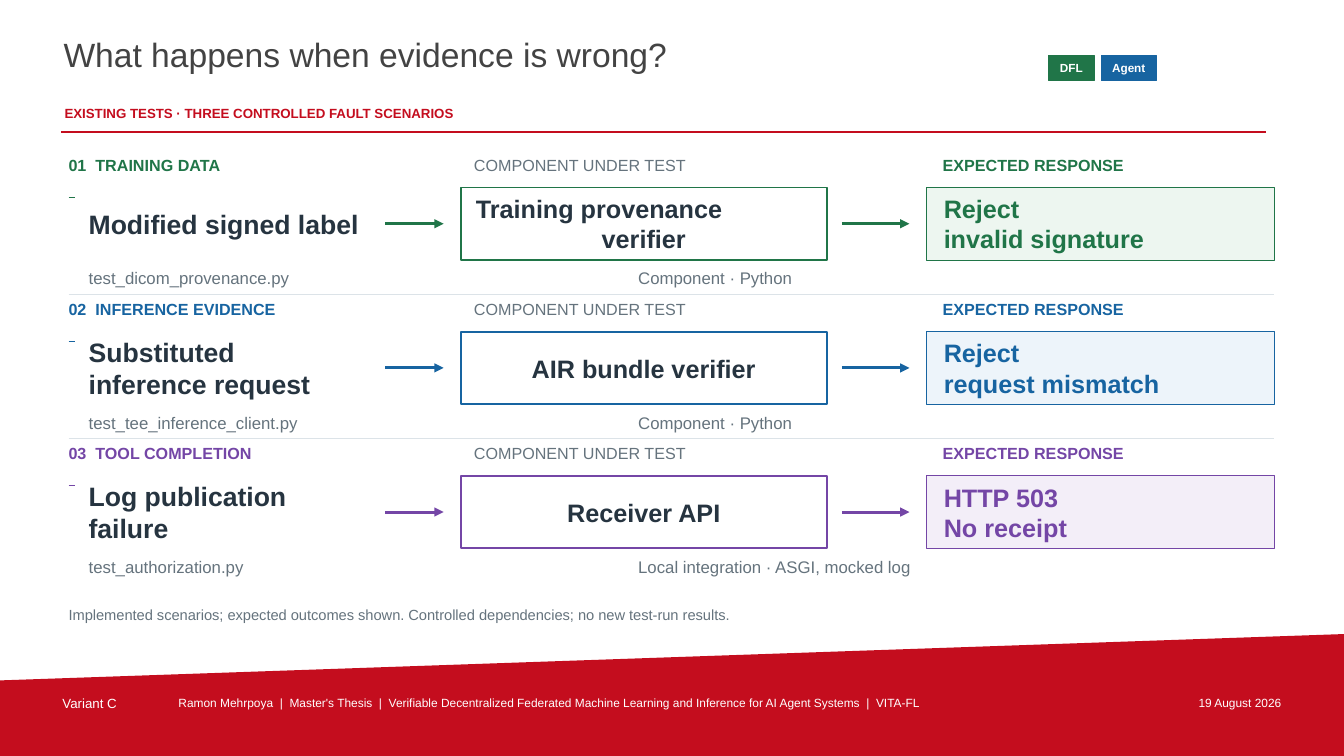
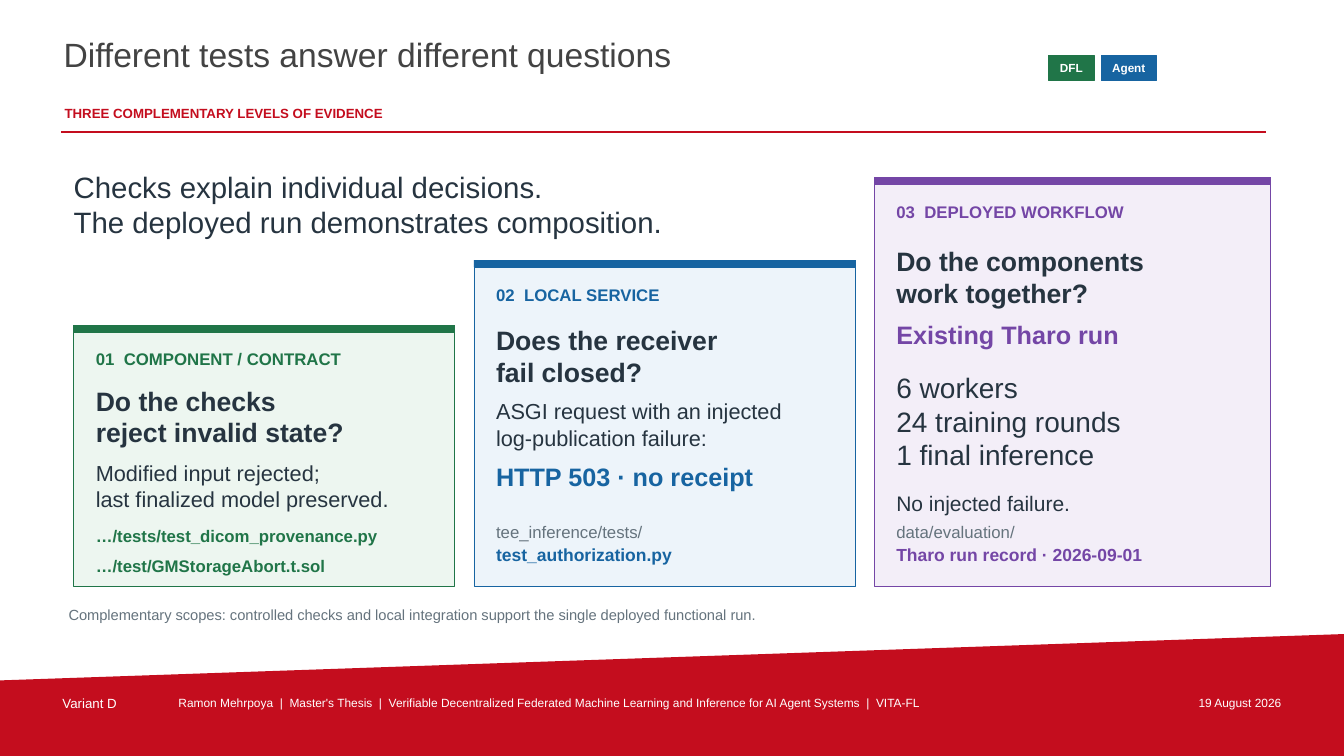
from lxml import etree
from pptx import Presentation
from pptx import util as u
from pptx.dml.color import RGBColor
from pptx.enum import shapes as kinds, text as t
from pptx.oxml.ns import qn

PX = 9144  # 100 px to the inch
WIDE, HIGH = 1333, 750
FONT = "Arial"
HUES = {
    "red": "C40D1E", "title": "434343", "ink": "263440", "gray": "65737D",
    "rule": "DCE3E8", "white": "FFFFFF",
    "green": "207548", "blue": "1764A1", "plum": "7446A6",
    "green pale": "EDF6F0", "blue pale": "EDF4FA", "plum pale": "F3EEF8",
}
LEFT, MID, RIGHT = t.PP_ALIGN.LEFT, t.PP_ALIGN.CENTER, t.PP_ALIGN.RIGHT
TOP, HALF = t.MSO_ANCHOR.TOP, t.MSO_ANCHOR.MIDDLE
CREDIT = ("Ramon Mehrpoya  |  Master's Thesis  |  Verifiable Decentralized Federated "
          "Machine Learning and Inference for AI Agent Systems  |  VITA-FL")
DATE = "19 August 2026"

# Slide 1: hue, stage, fault, part under test, response, test file, scope
FAULTS = [
    ("green", "01  TRAINING DATA", "Modified signed label",
     "Training provenance\nverifier", "Reject\ninvalid signature",
     "test_dicom_provenance.py", "Component · Python"),
    ("blue", "02  INFERENCE EVIDENCE", "Substituted\ninference request",
     "AIR bundle verifier", "Reject\nrequest mismatch",
     "test_tee_inference_client.py", "Component · Python"),
    ("plum", "03  TOOL COMPLETION", "Log publication\nfailure",
     "Receiver API", "HTTP 503\nNo receipt",
     "test_authorization.py", "Local integration · ASGI, mocked log"),
]

# Slide 2: hue, box, then lines as (offset, height, text, size, hue, bold)
CARDS = [
    ("green", (73, 323, 378, 259), [
        (20, 25, "01  COMPONENT / CONTRACT", 12, "green", True),
        (51, 78, "Do the checks\nreject invalid state?", 19, "ink", True),
        (131, 55, "Modified input rejected;\nlast finalized model preserved.",
         15.5, "ink", False),
        (197, 24, "…/tests/test_dicom_provenance.py", 12, "green", True),
        (226, 24, "…/test/GMStorageAbort.t.sol", 12, "green", True),
    ]),
    ("blue", (470, 258, 378, 324), [
        (22, 25, "02  LOCAL SERVICE", 12, "blue", True),
        (56, 78, "Does the receiver\nfail closed?", 19, "ink", True),
        (135, 56, "ASGI request with an injected\nlog-publication failure:",
         15.5, "ink", False),
        (198, 34, "HTTP 503 · no receipt", 18, "blue", True),
        (260, 19, "tee_inference/tests/", 12, "gray", False),
        (281, 22, "test_authorization.py", 12.5, "blue", True),
    ]),
    ("plum", (867, 176, 393, 406), [
        (22, 25, "03  DEPLOYED WORKFLOW", 12, "plum", True),
        (60, 78, "Do the components\nwork together?", 19, "ink", True),
        (139, 34, "Existing Tharo run", 18, "plum", True),
        (190, 103, "6 workers\n24 training rounds\n1 final inference", 20, "ink", False),
        (308, 30, "No injected failure.", 15, "ink", False),
        (342, 19, "data/evaluation/", 12, "gray", False),
        (363, 22, "Tharo run record · 2026-09-01", 12.5, "plum", True),
    ]),
]


def rgb(hue):
    return RGBColor.from_string(HUES[hue])


def emu(*sizes):
    return [u.Emu(size * PX) for size in sizes]


def style(shape, words, size, hue, bold=False, align=LEFT, anchor=HALF, pad=0, side=None):
    """Fill a shape with text, one paragraph a line."""
    frame = shape.text_frame
    frame.text = words
    frame.word_wrap = True
    frame.auto_size = t.MSO_AUTO_SIZE.NONE
    frame.vertical_anchor = anchor
    frame.margin_top = frame.margin_bottom = u.Emu(pad * PX)
    frame.margin_left = frame.margin_right = u.Emu((pad if side is None else side) * PX)
    for para in frame.paragraphs:
        para.alignment = align
        for run in para.runs:
            font = run.font
            font.name, font.size, font.bold = FONT, u.Pt(size), bold
            font.color.rgb = rgb(hue)


def label(slide, box, words, size, hue, **look):
    style(slide.shapes.add_textbox(*emu(*box)), words, size, hue, **look)


def block(slide, box, fill, edge, weight=0.5):
    shape = slide.shapes.add_shape(kinds.MSO_SHAPE.RECTANGLE, *emu(*box))
    shape.shadow.inherit = False
    shape.fill.solid()
    shape.fill.fore_color.rgb = rgb(fill)
    shape.line.color.rgb = rgb(edge)
    shape.line.width = u.Pt(weight)
    return shape


def rule(slide, x, y, wide, hue, weight, arrow=False):
    """Level line, with an arrowhead at its right end if asked."""
    line = slide.shapes.add_connector(kinds.MSO_CONNECTOR.STRAIGHT, *emu(x, y, x + wide, y))
    line.line.color.rgb = rgb(hue)
    line.line.width = u.Pt(weight)
    props = line.element.spPr
    if arrow:
        etree.SubElement(props.find(qn("a:ln")), qn("a:tailEnd"), type="triangle")
    etree.SubElement(props, qn("a:effectLst"))


def band(slide):
    """Slanted red foot, moved to the layout that all slides share."""
    pen = slide.shapes.build_freeform(0, 675, scale=PX)
    pen.add_line_segments([(WIDE, 629), (WIDE, HIGH), (0, HIGH)], close=True)
    foot = pen.convert_to_shape()
    foot.shadow.inherit = False
    foot.fill.solid()
    foot.fill.fore_color.rgb = rgb("red")
    foot.line.fill.background()
    slide.slide_layout.shapes.element.append(foot.element)


def header(slide, title, topic):
    head = slide.shapes.title
    head.left, head.top, head.width, head.height = emu(61, 32, 965, 62)
    style(head, title, 24, "title", anchor=TOP, pad=2)
    label(slide, (62, 102, 970, 22), topic, 9.5, "red", bold=True, anchor=TOP, pad=2)
    rule(slide, 61, 131, 1195, "red", 1.44)
    # Scope tags
    for x, wide, words, hue in ((1040, 45, "DFL", "green"), (1092, 55, "Agent", "blue")):
        tag = block(slide, (x, 55, wide, 25), hue, hue, 0.55)
        style(tag, words, 8.4, "white", bold=True, align=MID)


def footer(slide, name, note):
    label(slide, (68, 597, 1198, 26), note, 10.5, "gray")
    for x, wide, words, size, align in ((60, 110, name, 9.5, LEFT),
                                        (175, 935, CREDIT, 8.5, LEFT),
                                        (1120, 153, DATE, 8.5, RIGHT)):
        label(slide, (x, 688, wide, 22), words, size, "white",
              align=align, anchor=TOP, pad=2)


def frame(deck, title, topic, name, note):
    """New slide with the shared title, tags and foot."""
    slide = deck.slides.add_slide(deck.slide_layouts[5])
    header(slide, title, topic)
    footer(slide, name, note)
    return slide


def fault(slide, x, y, hue, stage, cause, part, reply, test, scope):
    """One row: fault, part under test, expected response."""
    # Column heads
    label(slide, (x, y, 380, 23), stage, 11.5, hue, bold=True)
    label(slide, (x + 402, y, 325, 23), "COMPONENT UNDER TEST", 11.5, "gray")
    label(slide, (x + 867, y, 308, 23), "EXPECTED RESPONSE", 11.5, hue, bold=True)
    # Fault
    rule(slide, x, y + 44, 6, hue, 0.72)
    label(slide, (x + 20, y + 34, 290, 72), cause, 19, "ink", bold=True)
    # Part under test: only its last line is centred
    box = block(slide, (x + 389, y + 34, 363, 72), "white", hue, 1.3)
    style(box, part, 18, "ink", bold=True, side=15)
    box.text_frame.paragraphs[-1].alignment = MID
    # Response
    box = block(slide, (x + 851, y + 34, 345, 72), hue + " pale", hue)
    style(box, reply, 18, hue, bold=True, side=17)
    # Arrows
    for start, wide in ((314, 58), (767, 67)):
        rule(slide, x + start, y + 70, wide, hue, 2.2, arrow=True)
    # Test file and scope
    label(slide, (x + 20, y + 113, 515, 22), test, 12, "gray")
    label(slide, (x + 565, y + 113, 610, 22), scope, 12, "gray")


def card(slide, box, hue, lines):
    """Tinted panel with a dark top edge and a stack of texts."""
    x, y, wide, _ = box
    block(slide, box, hue + " pale", hue)
    block(slide, (x, y, wide, 7), hue, hue)
    for down, high, words, size, ink, bold in lines:
        label(slide, (x + 22, y + down, wide - 43, high), words, size, ink, bold=bold)


def main():
    deck = Presentation()
    deck.slide_width, deck.slide_height = emu(WIDE, HIGH)

    # Fault scenarios
    slide = frame(deck, "What happens when evidence is wrong?",
                  "EXISTING TESTS · THREE CONTROLLED FAULT SCENARIOS", "Variant C",
                  "Implemented scenarios; expected outcomes shown. "
                  "Controlled dependencies; no new test-run results.")
    band(slide)
    left, top, pitch = 68, 152, 143
    for i, row in enumerate(FAULTS):
        y = top + i * pitch
        if i:
            rule(slide, left, y - 3, 1196, "rule", 0.72)
        fault(slide, left, y, *row)

    # Levels of evidence
    slide = frame(deck, "Different tests answer different questions",
                  "THREE COMPLEMENTARY LEVELS OF EVIDENCE", "Variant D",
                  "Complementary scopes: controlled checks and local integration "
                  "support the single deployed functional run.")
    label(slide, (73, 163, 765, 79),
          "Checks explain individual decisions.\nThe deployed run demonstrates composition.",
          21, "ink")
    for hue, box, lines in CARDS:
        card(slide, box, hue, lines)

    deck.save("out.pptx")


if __name__ == "__main__":
    main()
